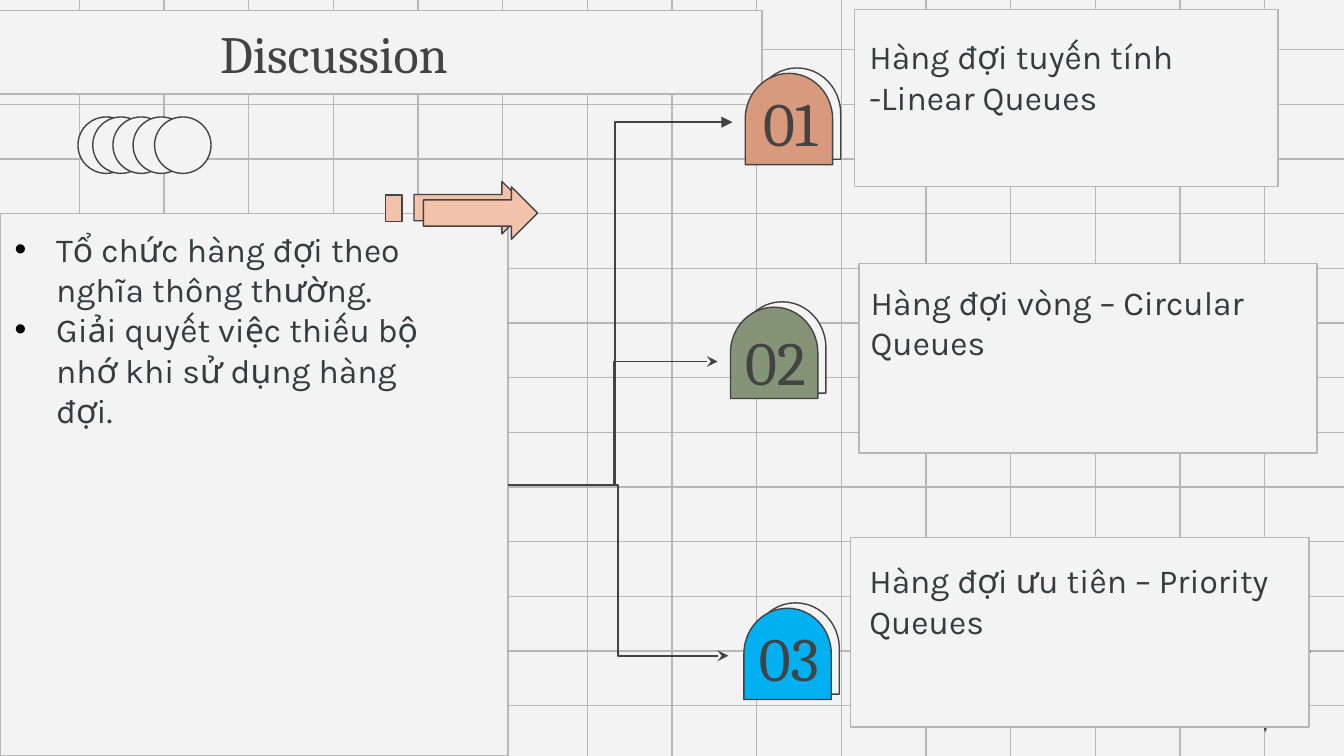
from lxml.etree import SubElement
from pptx import Presentation
from pptx.dml.color import RGBColor
from pptx.enum.shapes import MSO_CONNECTOR, MSO_SHAPE
from pptx.enum.text import MSO_ANCHOR, PP_ALIGN
from pptx.oxml.ns import qn
from pptx.util import Inches, Pt

COLORS = {"paper": "F3F3F3", "grid": "B7B7B7", "ink": "434343", "body": "363C3C",
          "peach": "F2C2AB", "clay": "D9997D", "sage": "859477", "blue": "00B0F0",
          "black": "000000"}

# Content
TITLE = "Discussion"
POINTS = ["Tổ chức hàng đợi theo nghĩa thông thường.",
          "Giải quyết việc thiếu bộ nhớ khi sử dụng hàng đợi."]
# Each queue: number, its top, badge colour, badge corner, card box, text corner, label
QUEUES = [
    ("02", 2.46, "sage", (5.42, 2.3), (6.39, 1.96, 3.41, 1.41), (6.38, 2.05),
     "Hàng đợi vòng – Circular Queues"),
    ("03", 4.66, "blue", (5.52, 4.54), (6.33, 4, 3.41, 1.41), (6.37, 4.12),
     "Hàng đợi ưu tiên – Priority Queues"),
    ("01", 0.68, "clay", (5.53, 0.56), (6.36, 0.07, 3.15, 1.32), (6.37, 0.22),
     "Hàng đợi tuyến tính -Linear Queues"),
]
# Each branch: start, end, arrowhead, position of the bend
BRANCHES = [((3.8, 3.61), (5.34, 2.69), "stealth", 0.5),
            ((3.78, 3.61), (5.42, 4.88), "stealth", 0.5),
            ((3.8, 3.61), (5.45, 0.91), "triangle", 0.47)]
STARS = [((9.23, 5.08, 0.37, 0.36), "peach"), ((9.48, 4.72, 0.27, 0.26), "paper")]
CIRCLES = [0.58, 0.69, 0.84, 0.99, 1.15]
ARROWS = [(3.08, 1.35), (3.15, 1.39)]

TITLE_FONT = {"name": "Cambria", "size": Pt(28)}
NUMBER_FONT = {"name": "Cambria", "size": Pt(33)}
BODY_FONT = {"name": "Karla", "size": Pt(18)}


def rgb(name):
    return RGBColor.from_string(COLORS[name])


def paint(sp, fill, line):
    sp.fill.solid()
    sp.fill.fore_color.rgb = rgb(fill)
    sp.line.color.rgb = rgb(line)
    sp.line.width = Pt(0.75)


def add_shape(kind, box, fill="paper", line="ink", rotation=0):
    sp = s.shapes.add_shape(kind, *map(Inches, box))
    sp.shadow.inherit = False
    sp.rotation = rotation
    paint(sp, fill, line)
    return sp


def add_line(kind, start, end, color, width):
    cx = s.shapes.add_connector(kind, *map(Inches, start + end))
    cx.line.color.rgb = rgb(color)
    cx.line.width = Pt(width)
    SubElement(cx.element.spPr, qn("a:effectLst"))
    return cx


def write(tf, texts, font, color, align=PP_ALIGN.LEFT, anchor=MSO_ANCHOR.TOP, inset=0.1):
    tf.word_wrap = True
    tf.vertical_anchor = anchor
    tf.margin_left = tf.margin_right = Inches(0.1)
    tf.margin_top = tf.margin_bottom = Inches(inset)
    for i, text in enumerate(texts):
        p = tf.paragraphs[0] if i == 0 else tf.add_paragraph()
        p.alignment = align
        r = p.add_run()
        r.text = text
        for key, value in font.items():
            setattr(r.font, key, value)
        r.font.color.rgb = rgb(color)


def add_text(box, *args, **kwargs):
    tf = s.shapes.add_textbox(*map(Inches, box)).text_frame
    write(tf, *args, **kwargs)
    return tf


def add_bullet(p):
    pPr = p._p.get_or_add_pPr()
    pPr.set("marL", str(Inches(0.31)))
    pPr.set("indent", str(-Inches(0.31)))
    SubElement(SubElement(pPr, qn("a:buClr")), qn("a:srgbClr"), val=COLORS["black"])
    SubElement(pPr, qn("a:buFont"), typeface="Arial")
    SubElement(pPr, qn("a:buChar"), char="•")


prs = Presentation()
prs.slide_width, prs.slide_height = Inches(10), Inches(10 * 9 / 16)
s = prs.slides.add_slide(prs.slide_layouts[5])
s.background.fill.solid()
s.background.fill.fore_color.rgb = rgb("paper")

# Grid and stars, moved to the layout as backdrop
backdrop = []
for i in range(15):
    x = 0.59 + 0.63 * i
    backdrop.append(add_line(MSO_CONNECTOR.STRAIGHT, (x, -0.03), (x, 5.66), "grid", 0.75))
for i in range(13):
    y = 0.37 + 4.88 / 12 * i
    backdrop.append(add_line(MSO_CONNECTOR.STRAIGHT, (-0.04, y), (10.04, y), "grid", 0.75))
for box, fill in STARS:
    star = add_shape(MSO_SHAPE.STAR_4_POINT, box, fill)
    star.adjustments[0] = 0.125
    backdrop.append(star)
for sp in backdrop:
    s.slide_layout.shapes.element.append(sp.element)

# Left panel, title and bullet list
panel = add_shape(MSO_SHAPE.RECTANGLE, (0, 1.59, 3.78, 4.03), line="grid")
title = s.shapes.title
title.left, title.top, title.width, title.height = map(Inches, (-0.7, 0.08, 6.37, 0.62))
paint(title, "paper", "grid")
write(title.text_frame, [TITLE], TITLE_FONT, "ink", PP_ALIGN.CENTER, MSO_ANCHOR.MIDDLE)
panel.element.addnext(title.element)
points = add_text((0.01, 1.6, 3.49, 3.51), POINTS, BODY_FONT, "body")
for p in points.paragraphs:
    add_bullet(p)

# Branches to the three queues
for start, end, head, bend in BRANCHES:
    cx = add_line(MSO_CONNECTOR.ELBOW, start, end, "ink", 1)
    SubElement(cx.element.spPr.find(qn("a:ln")), qn("a:tailEnd"), type=head)
    guides = cx.element.spPr.find(qn("a:prstGeom")).find(qn("a:avLst"))
    SubElement(guides, qn("a:gd"), name="adj1", fmla=f"val {round(bend * 100000)}")

# Arrow ornament and row of circles
add_shape(MSO_SHAPE.RECTANGLE, (2.87, 1.45, 0.12, 0.2), "peach")
for x, y in ARROWS:
    add_shape(MSO_SHAPE.RIGHT_ARROW, (x, y, 0.85, 0.39), "peach")
for x in CIRCLES:
    add_shape(MSO_SHAPE.OVAL, (x, 0.87, 0.42, 0.42))

# Numbered badges and queue cards
for number, top, color, (x, y), card, (tx, ty), label in QUEUES:
    for dx, dy, fill in [(0.06, -0.04, "paper"), (0, 0, color)]:
        add_shape(MSO_SHAPE.FLOWCHART_DELAY, (x + dx, y + dy, 0.68, 0.65), fill, rotation=270)
    add_text((x - 0.1, top, 0.9, 0.45), [number], NUMBER_FONT, "ink",
             PP_ALIGN.CENTER, MSO_ANCHOR.MIDDLE)
    add_shape(MSO_SHAPE.RECTANGLE, card, line="grid")
    add_text((tx, ty, 3.26, 0.94), [label], BODY_FONT, "body", inset=0.05)

prs.save("out.pptx")
